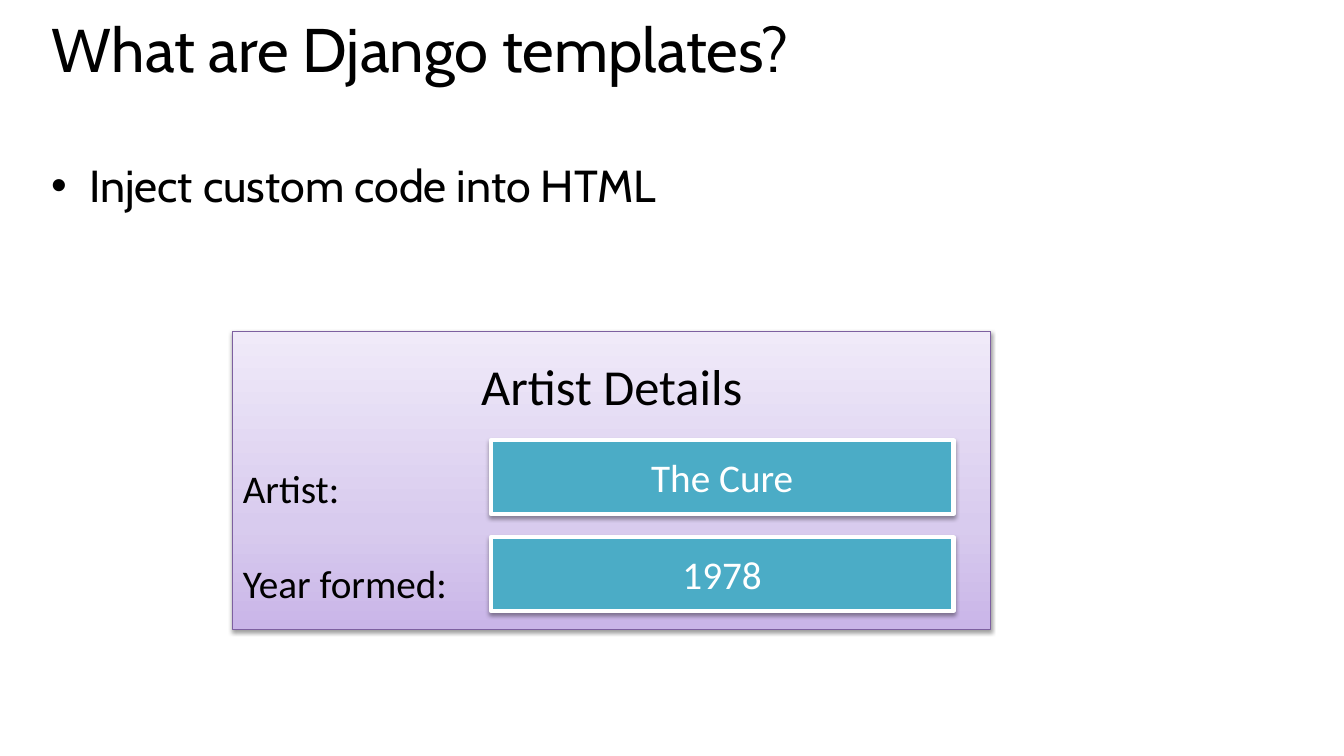
from copy import deepcopy

from lxml import etree
from pptx import Presentation
from pptx.dml.color import RGBColor
from pptx.enum.shapes import MSO_SHAPE
from pptx.enum.text import MSO_ANCHOR, PP_ALIGN
from pptx.oxml.ns import qn
from pptx.util import Pt

RECTANGLE = MSO_SHAPE.RECTANGLE
TOP, MIDDLE = MSO_ANCHOR.TOP, MSO_ANCHOR.MIDDLE
LEFT, CENTER = PP_ALIGN.LEFT, PP_ALIGN.CENTER

BLACK = RGBColor(0x00, 0x00, 0x00)
WHITE = RGBColor(0xFF, 0xFF, 0xFF)
TEAL = RGBColor(0x4B, 0xAC, 0xC6)
PURPLE = RGBColor(0x7D, 0x60, 0xA0)
CARD_STOPS = [
    (0, RGBColor(0xC9, 0xB5, 0xE8)),
    (0.35, RGBColor(0xD8, 0xCB, 0xEE)),
    (1, RGBColor(0xF0, 0xEA, 0xF9)),
]


class SlideBuilder:
    """Holds the style and the current slide."""

    heading_font = "Cabin"
    card_font = "Calibri"

    def __init__(self, slide):
        """Keep the slide that receives the elements."""
        self.slide = slide

    def set_text(self, para, text, font, size, color, align=LEFT):
        """Fill one paragraph with uniformly styled text."""
        para.text = text
        para.alignment = align
        para.font.name = font
        para.font.size = Pt(size)
        para.font.color.rgb = color

    def text(self, left, top, width, height, text, size):
        """Add a heading-font text box and return its paragraph."""
        box = self.slide.shapes.add_textbox(Pt(left), Pt(top), Pt(width), Pt(height))
        box.text_frame.word_wrap = True
        box.text_frame.vertical_anchor = TOP
        para = box.text_frame.paragraphs[0]
        self.set_text(para, text, self.heading_font, size, BLACK)
        return para

    def bullet(self, para, indent):
        """Give a paragraph a round bullet with a hanging indent."""
        properties = para._p.get_or_add_pPr()
        properties.set("marL", str(Pt(indent)))
        properties.set("indent", str(-Pt(indent)))
        bullet_font = etree.Element(qn("a:buFont"), typeface="Arial")
        bullet_mark = etree.Element(qn("a:buChar"), char="•")
        properties.find(qn("a:defRPr")).addprevious(bullet_font)
        bullet_font.addnext(bullet_mark)

    def shadow(self, shape):
        """Drop a soft shadow straight below a shape."""
        shape.shadow.inherit = False
        effects = shape._element.spPr.find(qn("a:effectLst"))
        outer = etree.SubElement(
            effects, qn("a:outerShdw"), blurRad=str(Pt(3.1)), dist=str(Pt(1.6)),
            dir="5400000", rotWithShape="0")
        color = etree.SubElement(outer, qn("a:srgbClr"), val=str(BLACK))
        etree.SubElement(color, qn("a:alpha"), val="38000")

    def panel(self, left, top, width, height, line_color, line_width):
        """Add an outlined rectangle with a shadow."""
        panel = self.slide.shapes.add_shape(
            RECTANGLE, Pt(left), Pt(top), Pt(width), Pt(height))
        panel.line.color.rgb = line_color
        panel.line.width = Pt(line_width)
        self.shadow(panel)
        panel.text_frame.word_wrap = True
        panel.text_frame.vertical_anchor = MIDDLE
        return panel

    def card(self, left, top, width, height, title, labels):
        """Add the gradient card with its title and field labels."""
        card = self.panel(left, top, width, height, PURPLE, 0.75)
        card.fill.gradient()
        card.fill.gradient_angle = 90
        stop_list = card._element.spPr.find(".//" + qn("a:gsLst"))
        stop_list.append(deepcopy(stop_list[0]))
        for stop, (position, color) in zip(card.fill.gradient_stops, CARD_STOPS):
            stop.position = position
            stop.color.rgb = color
        frame = card.text_frame
        self.set_text(frame.paragraphs[0], title, self.card_font, 36, BLACK, CENTER)
        for label in labels:
            para = frame.add_paragraph()
            self.set_text(para, label, self.card_font, 28, BLACK)
            para.space_before = Pt(34.2)

    def field(self, left, top, width, height, value):
        """Add a teal field showing a value."""
        field = self.panel(left, top, width, height, WHITE, 3)
        field.fill.solid()
        field.fill.fore_color.rgb = TEAL
        para = field.text_frame.paragraphs[0]
        self.set_text(para, value, self.card_font, 28, WHITE, CENTER)


def main():
    """Build the slide and save the deck."""
    deck = Presentation()
    deck.slide_width, deck.slide_height = Pt(960), Pt(540)
    page = SlideBuilder(deck.slides.add_slide(deck.slide_layouts[6]))

    title = page.text(30, 14.4, 907, 83.5, "What are Django templates?", 44)
    title.line_spacing = 0.8
    point = page.text(29.5, 109.4, 907, 417, "Inject custom code into HTML", 32)
    page.bullet(point, 27)

    artist = {"Artist: ": "The Cure", "Year formed:": "1978"}
    page.card(166.3, 236.9, 541.4, 213.1, "Artist Details", artist)
    for row, value in enumerate(artist.values()):
        page.field(350.6, 314.6 + row * 69.2, 330.5, 52.6, value)

    deck.save("out.pptx")


main()
